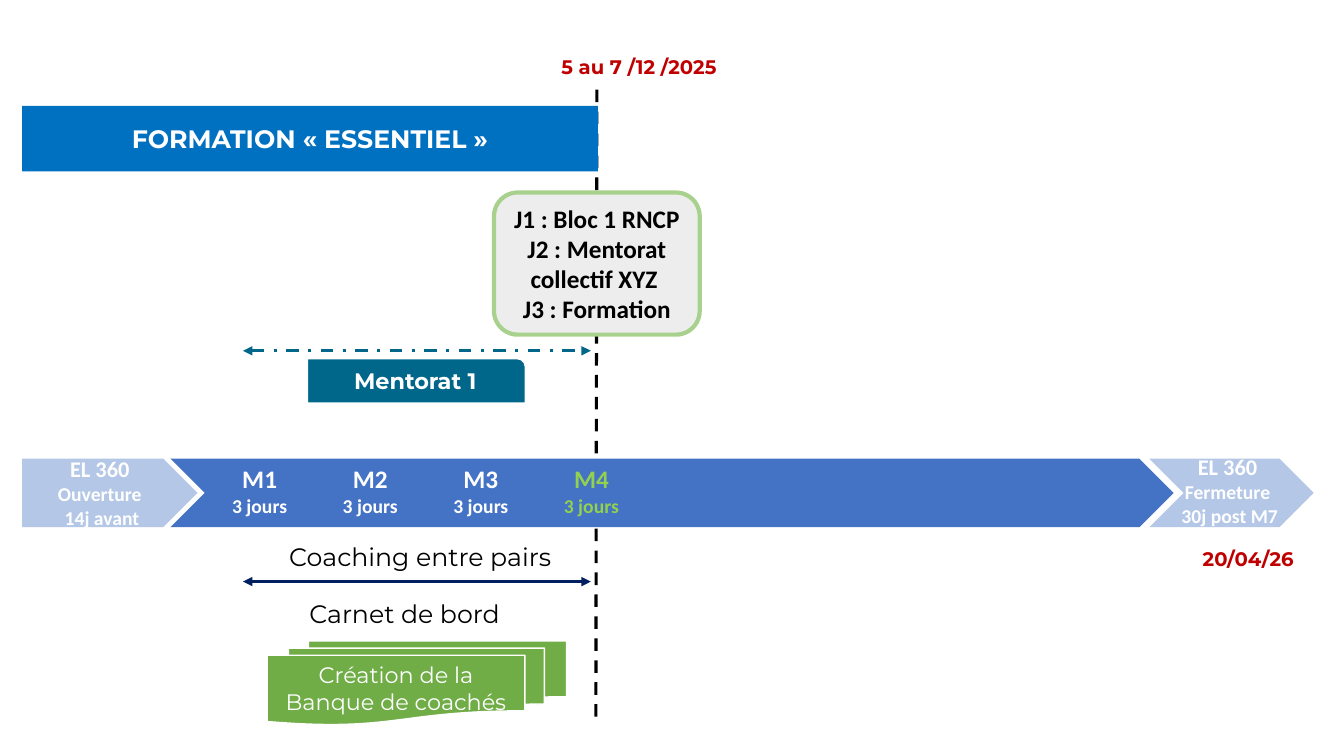
"""Build the timeline slide of a coaching course."""
from lxml.etree import SubElement
from pptx import Presentation
from pptx.dml.color import RGBColor
from pptx.enum.dml import MSO_LINE
from pptx.enum.shapes import MSO_CONNECTOR, MSO_SHAPE
from pptx.enum.text import MSO_ANCHOR, MSO_AUTO_SIZE, PP_ALIGN
from pptx.oxml.ns import qn
from pptx.util import Inches, Pt


def paint(part, color):
    if hasattr(part, "solid"):
        part.solid()
        part.fore_color.rgb = RGBColor.from_string(color)
    else:
        part.color.rgb = RGBColor.from_string(color)


def write(shape, rows, face, color, bold=True, align=PP_ALIGN.CENTER, **frame):
    text = shape.text_frame
    base = {"word_wrap": True, "auto_size": MSO_AUTO_SIZE.NONE,
            "vertical_anchor": MSO_ANCHOR.MIDDLE}
    for key, value in (base | frame).items():
        setattr(text, key, value)
    text.text = "\n".join(row for row, size in rows)
    for para, (row, size) in zip(text.paragraphs, rows):
        para.alignment = align
        font = para.runs[0].font
        for key, value in {"name": face, "size": Pt(size), "bold": bold}.items():
            setattr(font, key, value)
        paint(font, color)


deck = Presentation()
deck.slide_width, deck.slide_height = Inches(13.33), Inches(7.5)
slide = deck.slides.add_slide(deck.slide_layouts[5])
shapes = slide.shapes
BODY, HEAD = "Calibri", "Montserrat"
WHITE, BLACK, RED, TEAL, PALE = "FFFFFF", "000000", "C00000", "01678A", "B4C7E7"

lines = [
    (5.92, 0.89, 5.91, 7.19, BLACK, MSO_LINE.DASH, False),
    (2.41, 5.77, 5.86, 5.77, "002060", None, True),
    (2.41, 3.48, 5.86, 3.48, TEAL, MSO_LINE.DASH_DOT, True),
]
for *ends, color, dash, arrows in lines:
    link = shapes.add_connector(MSO_CONNECTOR.STRAIGHT, *map(Inches, ends))
    paint(link.line, color)
    for key, value in {"width": Pt(2.25), "dash_style": dash}.items():
        setattr(link.line, key, value)
    props = link.element.spPr
    if arrows:
        for tip in ("a:headEnd", "a:tailEnd"):
            SubElement(props.find(qn("a:ln")), qn(tip), type="triangle")
    SubElement(props, qn("a:effectLst"))

blocks = [
    (MSO_SHAPE.CHEVRON, (1.69, 4.55, 9.95, 0.68), "4472C4", None, 0, None),
    (MSO_SHAPE.PENTAGON, (0.22, 4.55, 1.74, 0.68), PALE, None, 0, None),
    (MSO_SHAPE.CHEVRON, (11.4, 4.55, 1.63, 0.68), PALE, None, 0, None),
    (MSO_SHAPE.ROUND_1_RECTANGLE, (3.05, 3.56, 2.16, 0.44), TEAL, WHITE, 1,
     ([("Mentorat 1", 16)], HEAD, WHITE)),
    (MSO_SHAPE.ROUNDED_RECTANGLE, (4.9, 1.91, 2.04, 1.41), "EDEDED", "A9D18E", 3,
     ([("J1 : Bloc 1 RNCP", 18), ("J2 : Mentorat collectif XYZ ", 18),
       ("J3 : Formation", 18)], BODY, BLACK)),
    (MSO_SHAPE.FLOWCHART_MULTIDOCUMENT, (2.65, 6.36, 2.97, 0.83), "70AD47", WHITE, 1,
     ([("Création de la Banque de coachés", 16)], HEAD, WHITE, False)),
]
for kind, box, fill, edge, width, words in blocks:
    block = shapes.add_shape(kind, *map(Inches, box))
    block.shadow.inherit = False
    paint(block.fill, fill)
    if edge:
        paint(block.line, edge)
        block.line.width = Pt(width)
    else:
        block.line.fill.background()
    if words:
        write(block, *words)

MID, LEFT = PP_ALIGN.CENTER, PP_ALIGN.LEFT
notes = [
    ((0.47, 4.47, 1.04, 0.84), [("EL 360", 16), ("Ouverture", 14), (" 14j avant", 14)],
     BODY, WHITE, True, MID, False),
    ((11.57, 4.45, 1.21, 0.84), [("EL 360", 16), ("Fermeture", 14), (" 30j post M7", 14)],
     BODY, WHITE, True, MID, False),
    ((2.77, 5.32, 2.84, 0.4), [("Coaching entre pairs", 18)], HEAD, BLACK, False, LEFT, False),
    ((2.97, 5.89, 2.84, 0.41), [("Carnet de bord", 18)], HEAD, BLACK, False, LEFT, True),
    ((5.47, 0.5, 1.75, 0.34), [("5 au 7 /12 /2025", 14)], HEAD, RED, True, LEFT, False),
    ((11.83, 5.38, 1.11, 0.34), [("20/04/26", 14)], HEAD, RED, True, LEFT, False),
]
for step, color in enumerate([WHITE, WHITE, WHITE, "92D050"]):
    notes.append(((2.2 + 1.097 * step, 4.55, 0.75, 0.64),
                  [(f"M{step + 1}", 18), ("3 jours", 14)], BODY, color, True, MID, False))
for box, rows, face, color, bold, align, wrap in notes:
    note = shapes.add_textbox(*map(Inches, box))
    write(note, rows, face, color, bold, align, word_wrap=wrap,
          auto_size=MSO_AUTO_SIZE.SHAPE_TO_FIT_TEXT, vertical_anchor=MSO_ANCHOR.TOP)

title = shapes.title
place = {"left": 0.22, "top": 1.05, "width": 5.71, "height": 0.65}
for key, value in place.items():
    setattr(title, key, Inches(value))
paint(title.fill, "0070C0")
write(title, [("FORMATION « ESSENTIEL »", 18)], HEAD, WHITE)
shapes.element.append(title.element)

deck.save("out.pptx")
